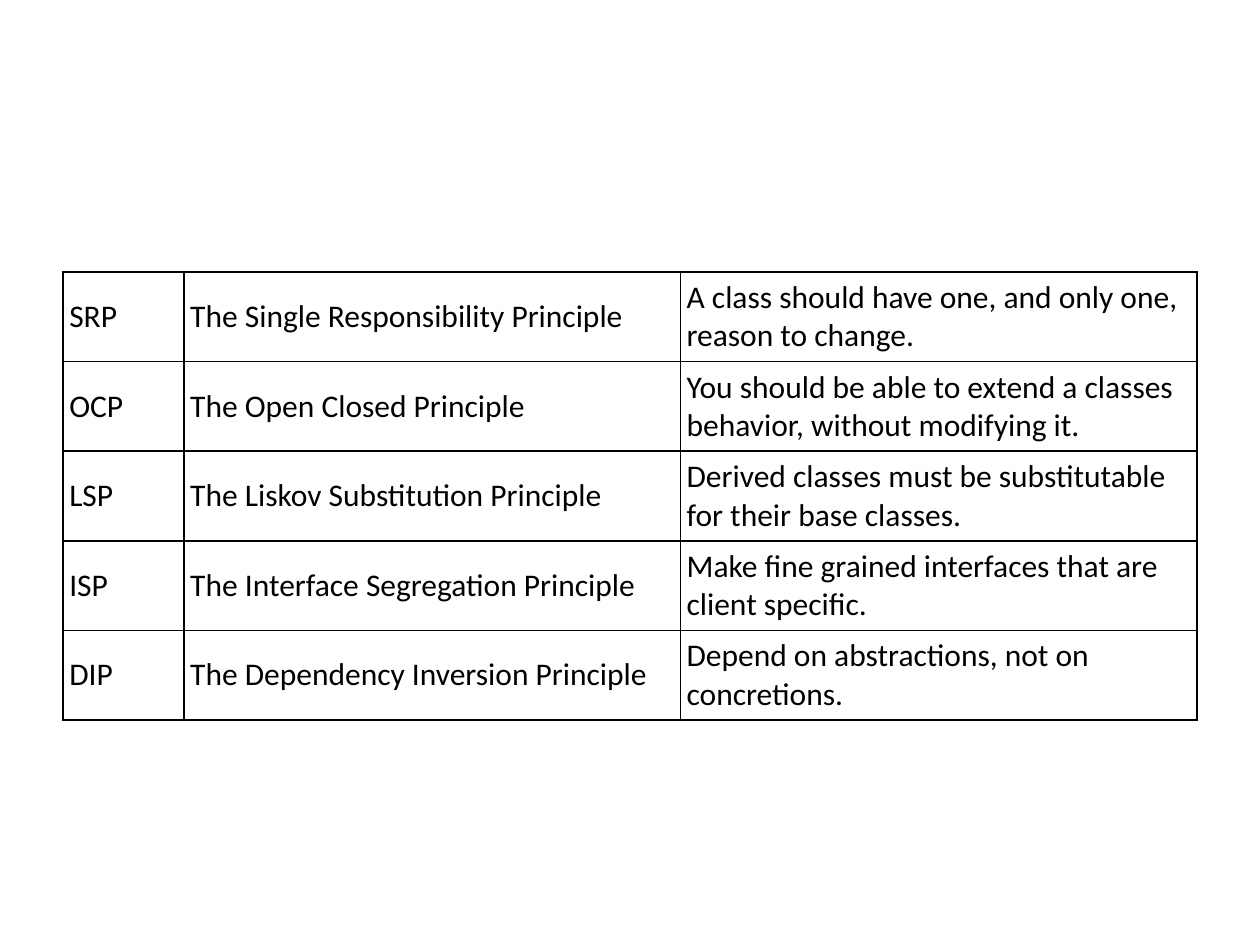
from dataclasses import dataclass
from typing import NamedTuple

from lxml.etree import SubElement
from pptx import Presentation
from pptx.dml.color import RGBColor
from pptx.enum.text import MSO_ANCHOR
from pptx.oxml.ns import qn
from pptx.util import Inches, Pt


@dataclass(frozen=True)
class Theme:
    font: str = "Calibri"
    size: int = 18
    text: str = "000000"
    border: str = "000000"
    border_width: int = 1
    background: str = "FFFFFF"


class Principle(NamedTuple):
    acronym: str
    name: str
    meaning: str


THEME = Theme()
COLUMN_WIDTHS = (0.96, 3.94, 4.1)
ROW_HEIGHT = 0.71
CELL_INSET = 0.05

PRINCIPLES = [
    Principle("SRP", "The Single Responsibility Principle",
              "A class should have one, and only one, reason to change."),
    Principle("OCP", "The Open Closed Principle",
              "You should be able to extend a classes behavior, without modifying it."),
    Principle("LSP", "The Liskov Substitution Principle",
              "Derived classes must be substitutable for their base classes."),
    Principle("ISP", "The Interface Segregation Principle",
              "Make fine grained interfaces that are client specific."),
    Principle("DIP", "The Dependency Inversion Principle",
              "Depend on abstractions, not on concretions."),
]


def add_borders(cell) -> None:
    tc_pr = cell._tc.get_or_add_tcPr()
    for side in ("a:lnL", "a:lnR", "a:lnT", "a:lnB"):
        ln = SubElement(tc_pr, qn(side), w=str(Pt(THEME.border_width)))
        fill = SubElement(ln, qn("a:solidFill"))
        SubElement(fill, qn("a:srgbClr"), val=THEME.border)


def fill_cell(cell, text: str) -> None:
    add_borders(cell)
    cell.fill.background()
    cell.vertical_anchor = MSO_ANCHOR.MIDDLE
    cell.margin_left = cell.margin_right = Inches(CELL_INSET)
    cell.margin_top = cell.margin_bottom = Inches(CELL_INSET)
    r = cell.text_frame.paragraphs[0].add_run()
    r.text = text
    r.font.name = THEME.font
    r.font.size = Pt(THEME.size)
    r.font.color.rgb = RGBColor.from_string(THEME.text)


def add_principles_table(s, left: float, top: float) -> None:
    rows, cols = len(PRINCIPLES), len(COLUMN_WIDTHS)
    table = s.shapes.add_table(
        rows, cols, Inches(left), Inches(top),
        Inches(sum(COLUMN_WIDTHS)), Inches(rows * ROW_HEIGHT)).table
    table.first_row = table.horz_banding = False
    for column, width in zip(table.columns, COLUMN_WIDTHS):
        column.width = Inches(width)
    for row, principle in zip(table.rows, PRINCIPLES):
        for cell, text in zip(row.cells, principle):
            fill_cell(cell, text)


def main() -> None:
    prs = Presentation()
    prs.slide_width, prs.slide_height = Inches(10), Inches(7.5)
    s = prs.slides.add_slide(prs.slide_layouts[6])

    # Background
    s.background.fill.solid()
    s.background.fill.fore_color.rgb = RGBColor.from_string(THEME.background)

    # Table of design principles
    add_principles_table(s, left=0.5, top=2.16)

    prs.save("out.pptx")


if __name__ == "__main__":
    main()
